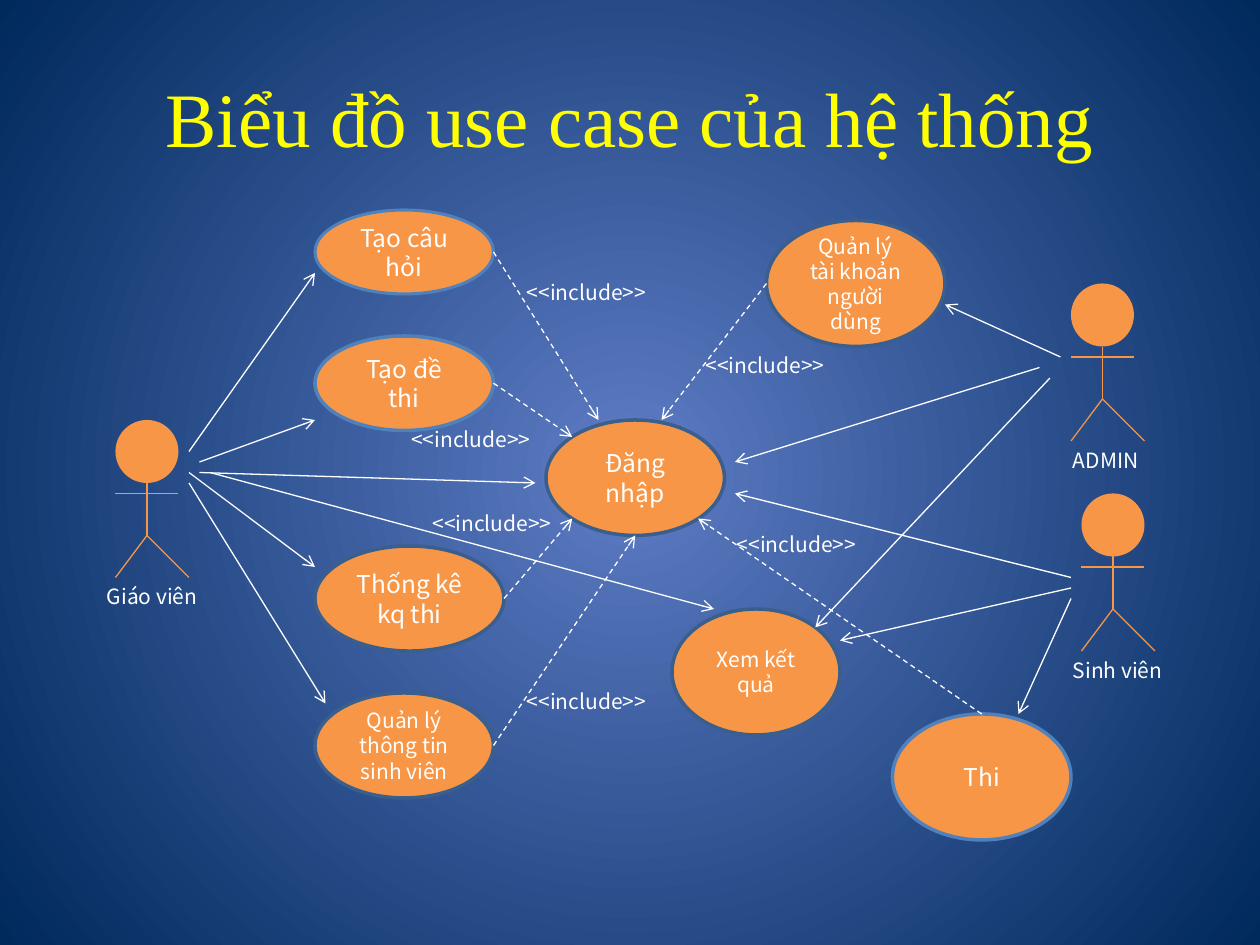
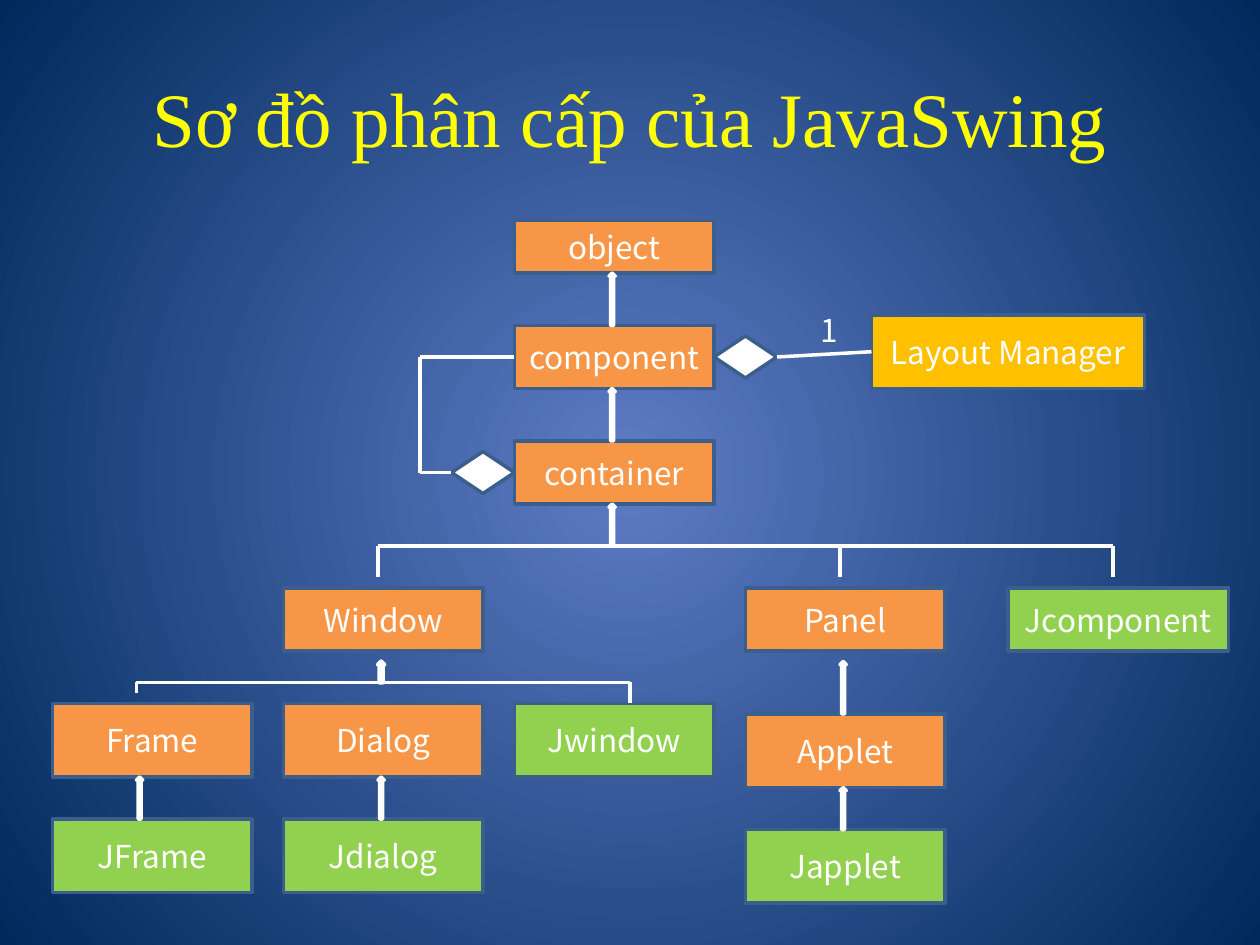
from lxml.etree import SubElement
from pptx import Presentation
from pptx.dml.color import RGBColor
from pptx.enum.dml import MSO_LINE
from pptx.enum.shapes import MSO_CONNECTOR, MSO_SHAPE
from pptx.enum.text import MSO_ANCHOR, MSO_AUTO_SIZE, PP_ALIGN
from pptx.oxml.ns import qn
from pptx.util import Pt

ORANGE = RGBColor(0xF7, 0x96, 0x46)
AMBER = RGBColor(0xFF, 0xC0, 0x00)
GREEN = RGBColor(0x92, 0xD0, 0x50)
BLUE = RGBColor(0x4F, 0x81, 0xBD)
DARK_BLUE = RGBColor(0x3A, 0x5F, 0x8C)
WHITE = RGBColor(0xFF, 0xFF, 0xFF)
YELLOW = RGBColor(0xFF, 0xFF, 0x00)
GLOW = RGBColor(0x5E, 0x7C, 0xC5)
NAVY = RGBColor(0x00, 0x29, 0x5C)
BODY_FONT = "Noto Sans CJK KR"
TITLE_FONT = "Times New Roman"


def add_box(page, kind, at, text="", size=18, fill=None, outline=None,
            weight=2, color=WHITE, font=BODY_FONT):
    """Add a centred preset shape, or a left-aligned text box if kind is None."""
    place = [Pt(value) for value in at]
    if kind is None:
        box = page.shapes.add_textbox(*place)
    else:
        box = page.shapes.add_shape(kind, *place)
        box.shadow.inherit = False
        box.fill.solid()
        box.fill.fore_color.rgb = fill
        if outline is None:
            box.line.fill.background()
        else:
            box.line.color.rgb = outline
            box.line.width = Pt(weight)
    if text:
        frame = box.text_frame
        frame.word_wrap = True
        para = frame.paragraphs[0]
        if kind is None:
            frame.auto_size = MSO_AUTO_SIZE.SHAPE_TO_FIT_TEXT
        else:
            frame.vertical_anchor = MSO_ANCHOR.MIDDLE
            para.alignment = PP_ALIGN.CENTER
        span = para.add_run()
        span.text = text
        span.font.size = Pt(size)
        span.font.name = font
        span.font.color.rgb = color
    return box


def add_line(page, x1, y1, x2, y2, color=WHITE, weight=0.75, arrow=False, dashed=False):
    line = page.shapes.add_connector(
        MSO_CONNECTOR.STRAIGHT, Pt(x1), Pt(y1), Pt(x2), Pt(y2))
    line.line.color.rgb = color
    line.line.width = Pt(weight)
    if dashed:
        line.line.dash_style = MSO_LINE.DASH
    properties = line.element.spPr
    if arrow:
        SubElement(properties.find(qn("a:ln")), qn("a:tailEnd"), type="arrow")
    SubElement(properties, qn("a:effectLst"))
    return line


deck = Presentation()
deck.slide_width, deck.slide_height = Pt(720), Pt(540)

# Radial background, shared through the master
backdrop = deck.slide_master.background.fill
backdrop.gradient()
for stop, color in zip(backdrop.gradient_stops, (GLOW, NAVY)):
    stop.color.rgb = color
gradient = next(deck.slide_master.element.iter(qn("a:gradFill")))
gradient.remove(gradient.find(qn("a:lin")))
circle = SubElement(gradient, qn("a:path"), path="circle")
SubElement(circle, qn("a:fillToRect"), l="50000", t="50000", r="50000", b="50000")

pages = []
for heading in ("Biểu đồ use case của hệ thống", "Sơ đồ phân cấp của JavaSwing"):
    page = deck.slides.add_slide(deck.slide_layouts[6])
    title = add_box(page, None, (36, 21.6, 648, 90), heading, 44,
                    color=YELLOW, font=TITLE_FONT)
    title.text_frame.auto_size = MSO_AUTO_SIZE.NONE
    title.text_frame.vertical_anchor = MSO_ANCHOR.MIDDLE
    title.text_frame.paragraphs[0].alignment = PP_ALIGN.CENTER
    pages.append(page)
use_case_page, swing_page = pages

# Slide 1: use cases
for text, at, size, outline, weight in (
    ("Tạo câu hỏi", (180, 120, 102, 48), 14, BLUE, 1.75),
    ("Quản lý tài khoản người dùng", (438, 126, 102, 72), 12, DARK_BLUE, 2),
    ("Đăng nhập", (312, 240, 102, 66), 14, DARK_BLUE, 2),
    ("Tạo đề thi", (180, 192, 102, 54), 14, BLUE, 2),
    ("Thống kê kq thi", (180, 312, 108, 60), 14, DARK_BLUE, 2),
    ("Quản lý thông tin sinh viên", (180, 396, 102, 60), 12, DARK_BLUE, 2),
    ("Xem kết quả", (384, 348, 96, 72), 12, DARK_BLUE, 2),
    ("Thi", (510, 408, 102, 72), 14, BLUE, 2),
):
    add_box(use_case_page, MSO_SHAPE.OVAL, at, text, size, ORANGE, outline, weight)

# Actors: head, body, two legs, arms and name
for name, x, y, name_x, name_width in (
    ("Giáo viên", 66, 240, 54, 72),
    ("ADMIN", 612, 162, 606, 60),
    ("Sinh viên", 618, 282, 606, 72),
):
    add_box(use_case_page, MSO_SHAPE.FLOWCHART_CONNECTOR, (x, y, 36, 36), fill=ORANGE)
    for x1, y1, x2, y2 in ((18, 36, 18, 66), (18, 66, 0, 90),
                           (18, 66, 42, 90), (0, 42, 36, 42)):
        add_line(use_case_page, x + x1, y + y1, x + x2, y + y2, ORANGE)
    add_box(use_case_page, None, (name_x, y + 90, name_width, 21.6), name, 12)

for ends in (
    (108, 258, 180, 156), (114, 264, 180, 240), (114, 270, 306, 276),
    (108, 270, 180, 324), (108, 276, 186, 402), (120, 270, 408, 348),
    (606, 204, 540, 174), (594, 210, 420, 264), (600, 216, 465.9, 358.5),
    (612, 330, 420, 282), (612, 336, 480, 366), (612, 342, 582, 408),
):
    add_line(use_case_page, *ends, arrow=True)

# Each include relation: arrow ends, then the place of its label
for ends, label_at in (
    ((282, 144, 342, 240), (294, 156)),
    ((282, 219, 327, 249.7), (228, 240)),
    ((288, 342, 327, 296.3), (240, 288)),
    ((282, 426, 363, 306), (294, 390)),
    ((438, 162, 378, 240), (396, 198)),
    ((561, 408, 399, 296.3), (414, 300)),
):
    add_line(use_case_page, *ends, arrow=True, dashed=True)
    add_box(use_case_page, None, (*label_at, 96, 21.6), "<<include>>", 12)

# Slide 2: class boxes
classes = {}
for text, x, y, width, height, fill in (
    ("object", 294, 126, 114, 30, ORANGE),
    ("component", 294, 186, 114, 36, ORANGE),
    ("container", 294, 252, 114, 36, ORANGE),
    ("Layout Manager", 498, 180, 156, 42, AMBER),
    ("Window", 162, 336, 114, 36, ORANGE),
    ("Panel", 426, 336, 114, 36, ORANGE),
    ("Jcomponent", 576, 336, 126, 36, GREEN),
    ("Frame", 30, 402, 114, 42, ORANGE),
    ("Dialog", 162, 402, 114, 42, ORANGE),
    ("Jwindow", 294, 402, 114, 42, GREEN),
    ("Applet", 426, 408, 114, 42, ORANGE),
    ("JFrame", 30, 468, 114, 42, GREEN),
    ("Jdialog", 162, 468, 114, 42, GREEN),
    ("Japplet", 426, 474, 114, 42, GREEN),
):
    classes[text] = add_box(swing_page, MSO_SHAPE.RECTANGLE, (x, y, width, height),
                            text, fill=fill, outline=DARK_BLUE)

# Inheritance arrows: left, top, height, line width
for x, y, height, weight in (
    (348, 156, 30, 2), (348, 222, 30, 2), (348, 288, 24, 2),
    (216, 378, 12, 2.5), (78, 444, 24, 2), (216, 444, 24, 2),
    (480, 378, 30, 2), (480, 450, 24, 2),
):
    add_box(swing_page, MSO_SHAPE.UP_ARROW, (x, y, 3.6, height),
            fill=BLUE, outline=WHITE, weight=weight)

# Branches: a horizontal bar with drops (x, bottom) to the children
for bar_y, drops in (
    (312, ((216, 330), (480, 330), (636, 330))),
    (390, ((78, 396), (360, 402))),
):
    add_line(swing_page, drops[0][0], bar_y, drops[-1][0], bar_y, weight=2)
    for x, bottom in drops:
        add_line(swing_page, x, bar_y, x, bottom, weight=2)

# Aggregations
container_diamond, component_diamond = [
    add_box(swing_page, MSO_SHAPE.FLOWCHART_DECISION, (x, y, 36, 24),
            fill=WHITE, outline=DARK_BLUE)
    for x, y in ((258, 258), (408, 192))
]
layout_link = add_line(swing_page, 444, 204, 498, 201, weight=2)
layout_link.begin_connect(component_diamond, 3)
layout_link.end_connect(classes["Layout Manager"], 1)
loop_top = add_line(swing_page, 294, 204, 240, 204, weight=2)
loop_top.begin_connect(classes["component"], 1)
add_line(swing_page, 240, 204, 240, 270, weight=2)
loop_bottom = add_line(swing_page, 240, 270, 258, 270, weight=2)
loop_bottom.end_connect(container_diamond, 1)
multiplicity = add_box(swing_page, None, (462, 174, 24.5, 28.8), "1")
multiplicity.text_frame.word_wrap = False

deck.save("out.pptx")
